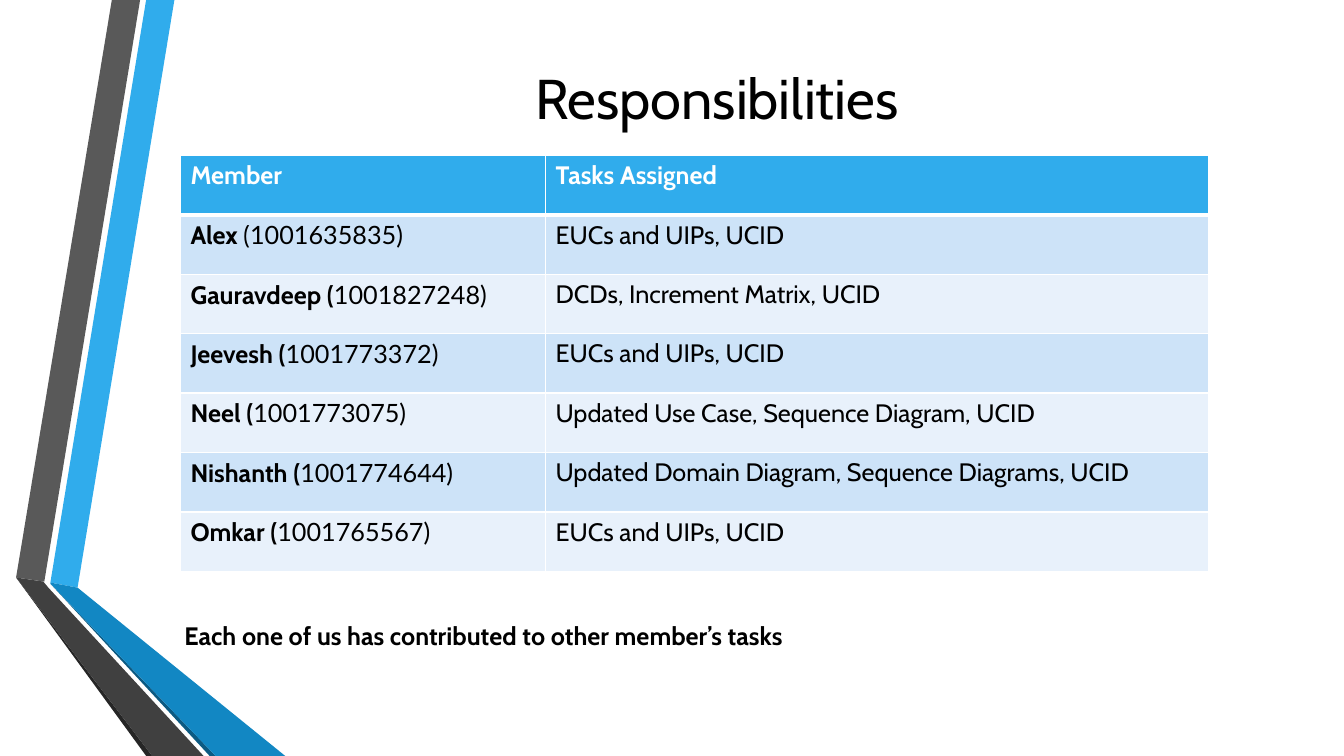
from lxml.etree import SubElement
from pptx import Presentation
from pptx.dml.color import RGBColor
from pptx.enum.text import MSO_ANCHOR as Anchor, PP_ALIGN as Align
from pptx.oxml.ns import qn
from pptx.util import Inches, Pt

BLUE, WHITE, BLACK = "30ACEC", "FFFFFF", "000000"
BANDS = ["CDE3F8", "E8F1FB"]
HEADINGS = ["Member", "Tasks Assigned"]
COLUMN_SHARES = [0.355, 0.645]
MEMBERS = [
    ("Alex", "1001635835", "EUCs and UIPs, UCID"),
    ("Gauravdeep", "1001827248", "DCDs, Increment Matrix, UCID"),
    ("Jeevesh", "1001773372", "EUCs and UIPs, UCID"),
    ("Neel", "1001773075", "Updated Use Case, Sequence Diagram, UCID"),
    ("Nishanth", "1001774644", "Updated Domain Diagram, Sequence Diagrams, UCID"),
    ("Omkar", "1001765567", "EUCs and UIPs, UCID"),
]
RIBBON_FACETS = [
    (BLUE, [(0.34, 5.78), (0.61, 5.83), (1.57, 0), (1.29, 0)]),
    ("595959", [(1.23, 0), (0.95, 0), (0, 5.73), (0.28, 5.77)]),
    ("262626", [(0, 5.73), (1.29, 7.5), (1.35, 7.5)]),
    ("0C5A82", [(0.34, 5.79), (1.92, 7.5), (1.98, 7.5)]),
    ("1287C3", [(0.34, 5.79), (1.98, 7.5), (2.67, 7.5), (0.61, 5.83), (0.34, 5.78)]),
    ("404040", [(1.86, 7.5), (0.32, 5.83), (0.27, 5.77), (0, 5.73), (1.35, 7.5)]),
]


def color(value):
    """Return the RGB colour for a hex string."""
    return RGBColor.from_string(value)


def format_run(run, size=18, bold=False, ink=BLACK, face="Cabin"):
    """Set the font of one run."""
    font = run.font
    font.name, font.size, font.bold = face, Pt(size), bold
    font.color.rgb = color(ink)


def add_run(paragraph, text, **style):
    """Append a formatted run to a paragraph."""
    run = paragraph.add_run()
    run.text = text
    format_run(run, **style)


def set_borders(cell, bottom):
    """Draw white borders around a cell, with the given bottom width."""
    properties = cell._tc.get_or_add_tcPr()
    for side, width in [("L", 1), ("R", 1), ("T", 1), ("B", bottom)]:
        line = SubElement(properties, qn(f"a:ln{side}"), w=str(Pt(width)))
        fill = SubElement(line, qn("a:solidFill"))
        SubElement(fill, qn("a:srgbClr"), val=WHITE)


def add_ribbons(slide, left, top):
    """Draw the folded ribbons from the top left corner of their box."""
    for fill, points in RIBBON_FACETS:
        corners = [(Inches(left + x), Inches(top + y)) for x, y in points]
        builder = slide.shapes.build_freeform(*corners[0])
        builder.add_line_segments(corners[1:], close=True)
        facet = builder.convert_to_shape()
        facet.shadow.inherit = False
        facet.fill.solid()
        facet.fill.fore_color.rgb = color(fill)
        facet.line.fill.background()


def add_title(slide, text, left, top, width, height):
    """Place and format the title placeholder."""
    title = slide.shapes.title
    title.left, title.top = Inches(left), Inches(top)
    title.width, title.height = Inches(width), Inches(height)
    title.text_frame.text = text
    title.text_frame.vertical_anchor = Anchor.MIDDLE
    paragraph = title.text_frame.paragraphs[0]
    paragraph.alignment = Align.CENTER
    format_run(paragraph.runs[0], size=40)


def add_task_table(slide, left, top, width, height):
    """Fill the box with the table of members and their tasks."""
    row_count = len(MEMBERS) + 1
    table = slide.shapes.add_table(
        row_count, len(HEADINGS), Inches(left), Inches(top), Inches(width), Inches(height)
    ).table
    for column, share in zip(table.columns, COLUMN_SHARES):
        column.width = Inches(width * share)
    for row_index, row in enumerate(table.rows):
        row.height = Inches(height / row_count)
        for cell in row.cells:
            set_borders(cell, bottom=1 if row_index else 3)
            cell.fill.solid()
            fill = BANDS[(row_index - 1) % 2] if row_index else BLUE
            cell.fill.fore_color.rgb = color(fill)
    for column_index, heading in enumerate(HEADINGS):
        paragraph = table.cell(0, column_index).text_frame.paragraphs[0]
        add_run(paragraph, heading, bold=True, ink=WHITE)
    for row_index, (name, number, tasks) in enumerate(MEMBERS, start=1):
        member, assigned = [
            cell.text_frame.paragraphs[0] for cell in table.rows[row_index].cells
        ]
        add_run(member, name, bold=True)
        add_run(member, " (", bold=row_index > 1)
        add_run(member, f"{number})", face="Lato")
        add_run(assigned, tasks)


def add_note(slide, text, left, top, width, height):
    """Add the bold closing remark."""
    box = slide.shapes.add_textbox(Inches(left), Inches(top), Inches(width), Inches(height))
    box.text_frame.word_wrap = True
    box.text_frame.text = text
    format_run(box.text_frame.paragraphs[0].runs[0], bold=True)


def build_responsibilities_slide(presentation):
    """Build the slide of team responsibilities."""
    slide = presentation.slides.add_slide(presentation.slide_layouts[5])
    add_ribbons(slide, 0.16, 0)
    add_title(slide, "Responsibilities", 1.63, 0, 10.96, 1.92)
    add_note(slide, "Each one of us has contributed to other member’s tasks", 1.73, 6.1, 7.22, 0.4)
    add_task_table(slide, 1.79, 1.54, 10.2, 4.13)


presentation = Presentation()
presentation.slide_width, presentation.slide_height = Inches(13.33), Inches(7.5)
build_responsibilities_slide(presentation)
presentation.save("out.pptx")
